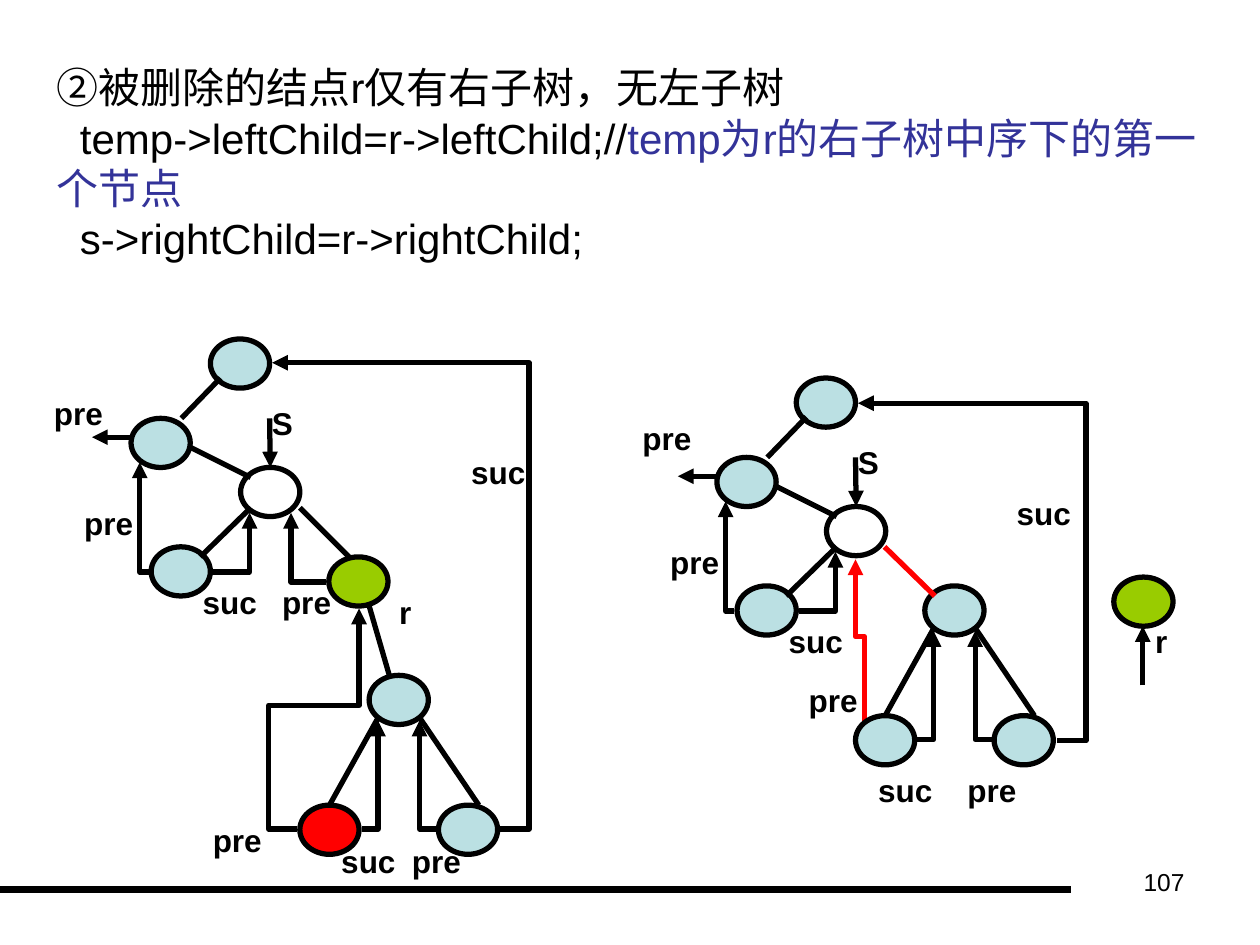
from lxml.etree import SubElement
from pptx import Presentation
from pptx.dml.color import RGBColor
from pptx.enum.shapes import MSO_CONNECTOR, MSO_SHAPE
from pptx.enum.text import MSO_ANCHOR, MSO_AUTO_SIZE, PP_ALIGN
from pptx.oxml.ns import qn
from pptx.util import Inches, Pt

BLACK, RED, GREEN, PALE_BLUE, NAVY = "000000", "FF0000", "99CC00", "BBE0E3", "333399"
NODE_WIDTH, NODE_HEIGHT = 0.47, 0.39


def color(value):
    return RGBColor.from_string(value)


def add_run(paragraph, text, size=18, fill=BLACK, bold=False):
    run = paragraph.add_run()
    run.text = text
    run.font.name = "Arial"
    run.font.size = Pt(size)
    run.font.bold = bold
    run.font.color.rgb = color(fill)


def add_text(slide, text, left, top, width=0.79, height=0.4,
             align=PP_ALIGN.LEFT, **run_format):
    box = slide.shapes.add_textbox(
        Inches(left), Inches(top), Inches(width), Inches(height))
    box.text_frame.word_wrap = True
    paragraph = box.text_frame.paragraphs[0]
    paragraph.alignment = align
    add_run(paragraph, text, **run_format)


def add_label(slide, text, left, top):
    width = 0.39 if len(text) == 1 else 0.79
    add_text(slide, text, left, top, width, bold=True)


def add_node(slide, left, top, fill=PALE_BLUE):
    node = slide.shapes.add_shape(
        MSO_SHAPE.OVAL, Inches(left), Inches(top),
        Inches(NODE_WIDTH), Inches(NODE_HEIGHT))
    node.shadow.inherit = False
    if fill:
        node.fill.solid()
        node.fill.fore_color.rgb = color(fill)
    else:
        node.fill.background()
    node.line.color.rgb = color(BLACK)
    node.line.width = Pt(3)
    return node


def add_line(slide, start, end, stroke=BLACK, width=3, arrow=False,
             kind=MSO_CONNECTOR.STRAIGHT):
    line = slide.shapes.add_connector(
        kind, *(Inches(value) for value in (*start, *end)))
    line.line.color.rgb = color(stroke)
    line.line.width = Pt(width)
    properties = line._element.spPr
    if arrow:
        SubElement(properties.find(qn("a:ln")), qn("a:tailEnd"), type="triangle")
    SubElement(properties, qn("a:effectLst"))
    return line


def add_elbow(slide, start, end, *adjustments, stroke=BLACK, vertical_first=False):
    """Bent arrow; each adjustment is a turn as a share of width or height."""
    if vertical_first:
        # Lay the path on its side, then turn it by 270 degrees
        center_x, center_y = (start[0] + end[0]) / 2, (start[1] + end[1]) / 2
        half_x, half_y = start[0] - center_x, start[1] - center_y
        start = center_x - half_y, center_y + half_x
        end = center_x + half_y, center_y - half_x
    elbow = add_line(slide, start, end, stroke, arrow=True, kind=MSO_CONNECTOR.ELBOW)
    properties = elbow._element.spPr
    if vertical_first:
        properties.find(qn("a:xfrm")).set("rot", str(270 * 60000))
    geometry = properties.find(qn("a:prstGeom"))
    geometry.set("prst", f"bentConnector{2 + len(adjustments)}")
    guides = geometry.find(qn("a:avLst"))
    for number, share in enumerate(adjustments, 1):
        SubElement(guides, qn("a:gd"), name=f"adj{number}",
                   fmla=f"val {round(share * 100000)}")


def add_upper_tree(slide, dx=0, dy=0):
    """Root, its left child, S and the left child of S."""
    def at(x, y):
        return x + dx, y + dy

    for left, top in ((1.67, 2.69), (1.04, 3.32), (1.2, 4.34)):
        add_node(slide, *at(left, top))
    s_node = add_node(slide, *at(1.91, 3.71), fill=None)

    # Branches
    add_line(slide, at(1.75, 3), at(1.44, 3.32))
    add_line(slide, at(1.51, 3.55), at(1.99, 3.79))
    add_line(slide, at(1.99, 4.03), at(1.59, 4.42))

    # Pointer to S and threads
    pointer = add_line(slide, at(2.14, 3.32), at(2.14, 3.71), arrow=True)
    pointer.end_connect(s_node, 0)
    add_line(slide, at(1.04, 3.47), at(0.73, 3.47), arrow=True)
    add_elbow(slide, at(1.69, 4.54), at(1.98, 4.07))
    add_elbow(slide, at(1.18, 4.54), at(1.11, 3.67))

    add_label(slide, "S", *at(2.06, 3.16))
    add_label(slide, "suc", *at(1.51, 4.58))
    add_label(slide, "pre", *at(0.57, 3.95))


def add_right_subtree(slide, dx=0, dy=0, first_fill=PALE_BLUE):
    """Right subtree of r; its left child comes first in inorder."""
    def at(x, y):
        return x + dx, y + dy

    add_node(slide, *at(2.93, 5.36))
    first_node = add_node(slide, *at(2.38, 6.39), fill=first_fill)
    add_node(slide, *at(3.48, 6.39))
    branch = add_line(slide, at(3.01, 5.68), at(2.61, 6.39))
    branch.end_connect(first_node, 0)
    add_line(slide, at(3.32, 5.68), at(3.8, 6.39))
    add_elbow(slide, at(2.87, 6.58), at(3, 5.72))
    add_elbow(slide, at(3.46, 6.58), at(3.33, 5.72))


def add_tree_before(slide):
    add_upper_tree(slide)
    add_label(slide, "pre", 1.59, 6.47)
    add_right_subtree(slide, first_fill=RED)
    add_node(slide, 2.61, 4.42, fill=GREEN)
    add_line(slide, (2.38, 4.03), (2.77, 4.42))
    add_line(slide, (2.93, 4.81), (3.09, 5.36))
    add_elbow(slide, (3.97, 6.58), (2.16, 2.88), -0.127)
    add_elbow(slide, (2.36, 6.58), (2.85, 4.83), -0.464, 0.561)
    add_elbow(slide, (2.59, 4.62), (2.31, 4.07))
    for text, left, top in (("suc", 3.64, 3.55), ("suc", 2.61, 6.63),
                            ("pre", 3.17, 6.63), ("pre", 2.14, 4.58),
                            ("pre", 0.33, 3.08), ("r", 3.07, 4.66)):
        add_label(slide, text, left, top)


def add_tree_after(slide):
    add_upper_tree(slide, 4.65, 0.31)
    add_elbow(slide, (6.86, 5.72), (6.79, 4.44), 0.522,
              stroke=RED, vertical_first=True)
    add_right_subtree(slide, 4.41, -0.71)
    add_line(slide, (7.02, 4.34), (7.42, 4.73), stroke=RED)
    add_elbow(slide, (8.39, 5.88), (6.81, 3.2), -0.145)
    # Detached node r
    add_node(slide, 8.84, 4.58, fill=GREEN)
    add_line(slide, (9.07, 5.44), (9.07, 4.97), arrow=True)
    for text, left, top in (("r", 9.07, 4.89), ("suc", 7.97, 3.87),
                            ("pre", 6.32, 5.36), ("suc", 6.87, 6.07),
                            ("pre", 7.58, 6.07), ("pre", 5, 3.28)):
        add_label(slide, text, left, top)


def fill_title(slide):
    title = slide.shapes.title
    title.left, title.top = Inches(0.35), Inches(0.44)
    title.width, title.height = Inches(9.45), Inches(1.7)
    frame = title.text_frame
    frame.word_wrap = True
    frame.auto_size = MSO_AUTO_SIZE.NONE
    frame.vertical_anchor = MSO_ANCHOR.TOP
    lines = (
        (("②被删除的结点r仅有右子树，无左子树", BLACK),),
        (("  temp->leftChild=r->leftChild;//", BLACK),
         ("temp为r的右子树中序下的第一个节点", NAVY)),
        (("  s->rightChild=r->rightChild;", BLACK),),
    )
    for index, runs in enumerate(lines):
        paragraph = frame.add_paragraph() if index else frame.paragraphs[0]
        paragraph.alignment = PP_ALIGN.LEFT
        for text, fill in runs:
            add_run(paragraph, text, size=24, fill=fill)


def main():
    presentation = Presentation()
    presentation.slide_width, presentation.slide_height = Inches(10), Inches(7.5)
    slide = presentation.slides.add_slide(presentation.slide_layouts[5])
    # Footer rule and page number
    add_line(slide, (0, 7.06), (8.5, 7.06), width=4.5)
    add_text(slide, "107", 7.17, 6.83, 2.33, 0.52, align=PP_ALIGN.RIGHT, size=14)
    fill_title(slide)
    add_tree_before(slide)
    add_tree_after(slide)
    presentation.save("out.pptx")


if __name__ == "__main__":
    main()
